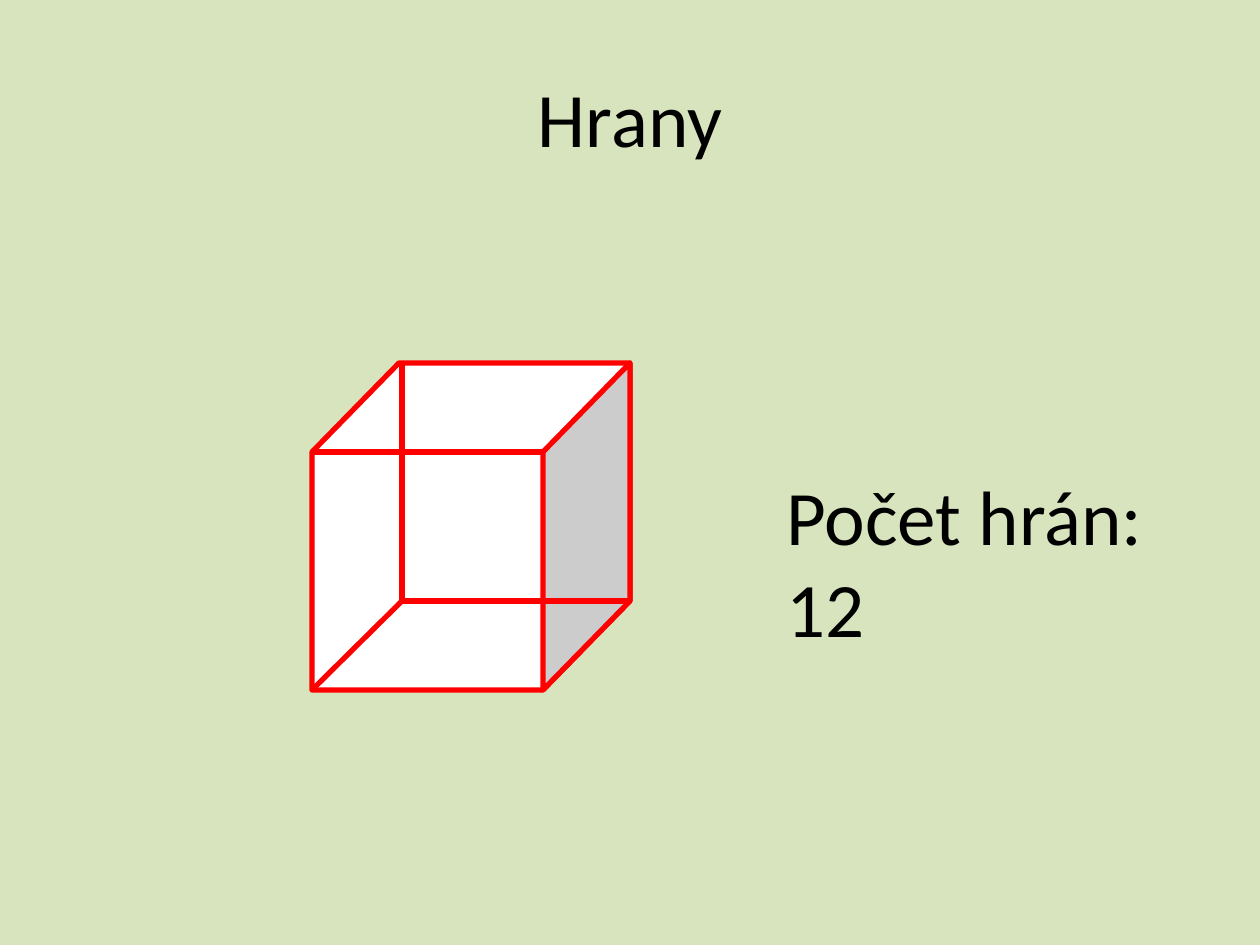
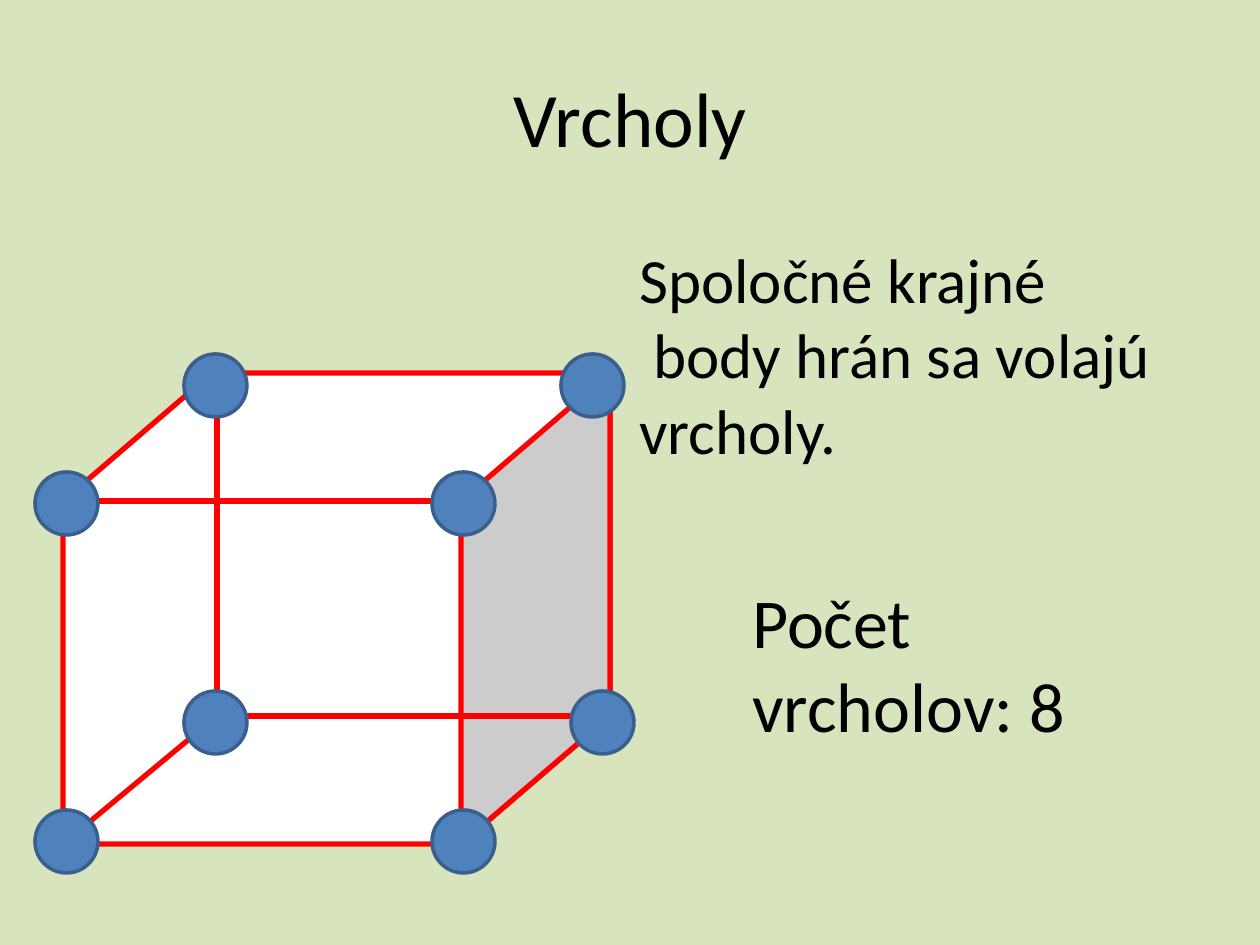
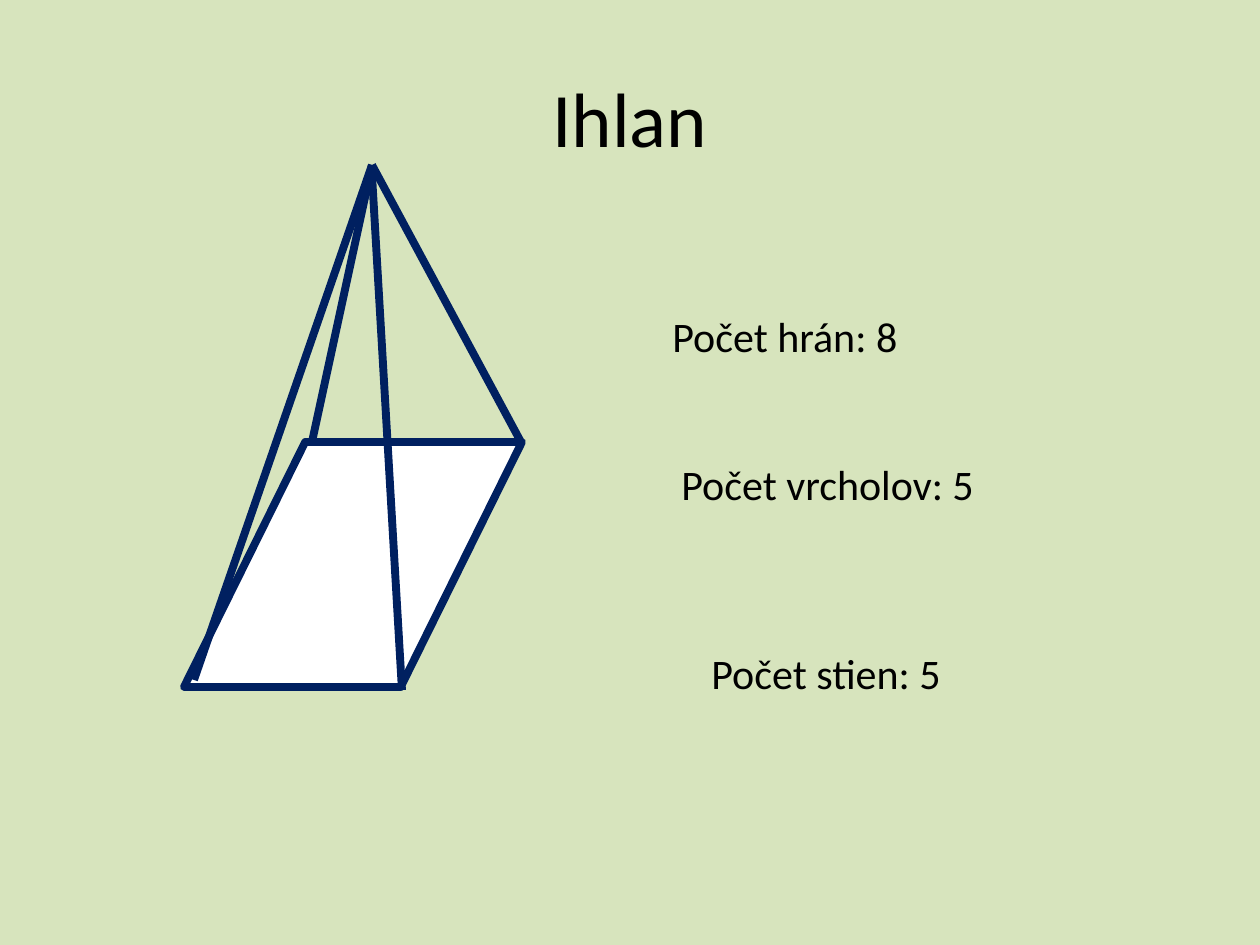
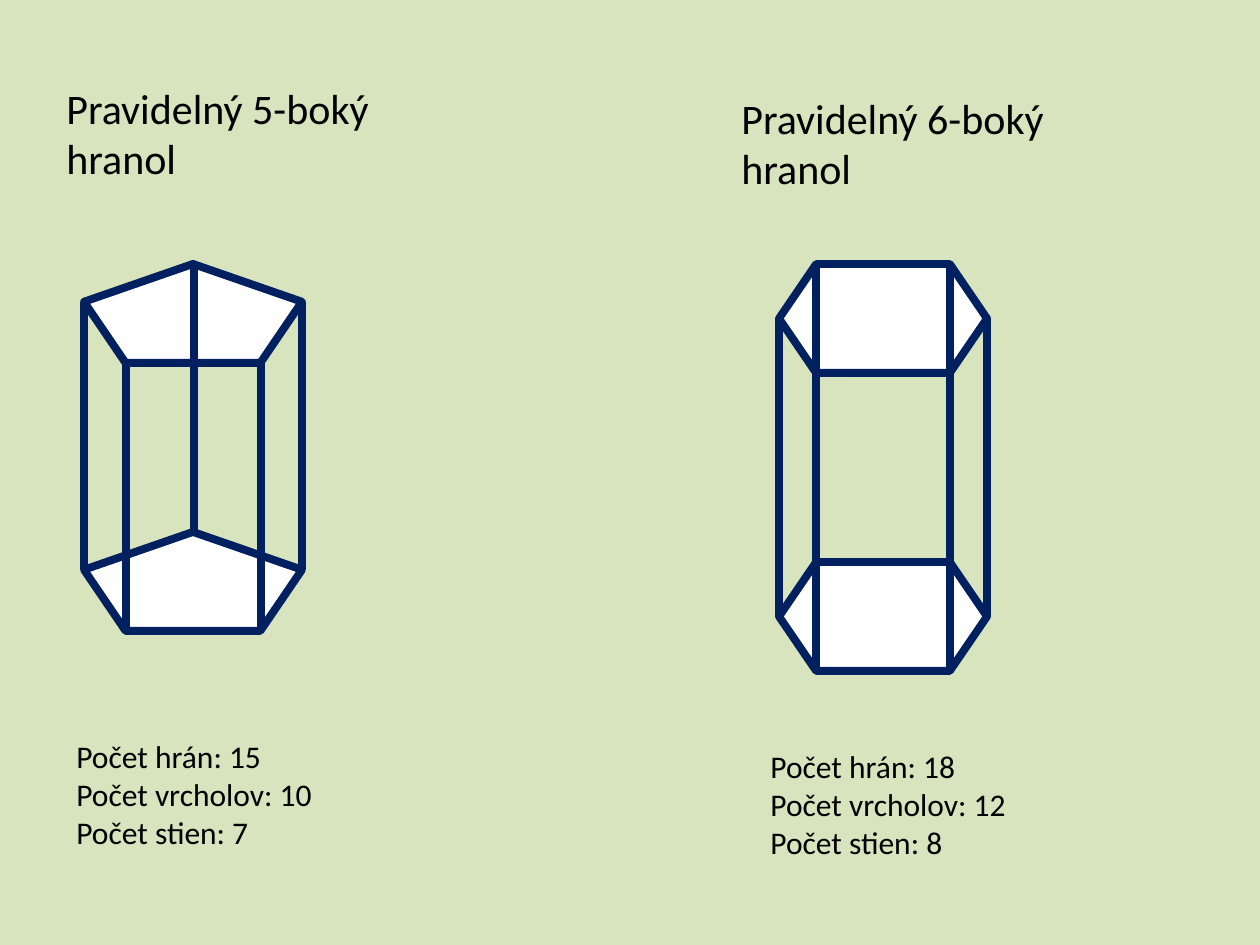
from pptx import Presentation
from pptx.dml.color import RGBColor
from pptx.enum.shapes import MSO_CONNECTOR as Conn, MSO_SHAPE as Kind
from pptx.enum.text import MSO_ANCHOR as Anchor, MSO_AUTO_SIZE as Fit, PP_ALIGN as Align
from pptx.oxml.ns import qn
from pptx.util import Pt
from lxml.etree import SubElement

# Shared look
SCALE = 914400 / 126
FONT = "Calibri"
GREEN, WHITE, GREY, BLACK = "D7E4BD", "FFFFFF", "CCCCCC", "000000"
RED, NAVY, BLUE, RIM = "FF0000", "002060", "4F81BD", "3A5F8C"


def emu(px):
    return round(px * SCALE)


def color(code):
    return RGBColor.from_string(code)


def paint(shape, fill, line, width):
    shape.shadow.inherit = False
    shape.fill.solid()
    shape.fill.fore_color.rgb = color(fill)
    shape.line.color.rgb = color(line)
    shape.line.width = Pt(width)


def solid(parent, kind, box, fill, line, width, adj=None):
    shape = parent.shapes.add_shape(kind, *map(emu, box))
    paint(shape, fill, line, width)
    if adj is not None:
        shape.adjustments[0] = adj


def edge(parent, start, end, line, width):
    conn = parent.shapes.add_connector(Conn.STRAIGHT, *map(emu, start + end))
    conn.line.color.rgb = color(line)
    conn.line.width = Pt(width)
    SubElement(conn._element.spPr, qn("a:effectLst"))


def face(parent, points, fill, line, width, seam=None):
    """Closed outline, with an optional open seam inside it."""
    pen = parent.shapes.build_freeform(*points[0], scale=SCALE)
    pen.add_line_segments(points[1:])
    if seam:
        pen.move_to(*seam[0])
        pen.add_line_segments(seam[1:], close=False)
    paint(pen.convert_to_shape(), fill, line, width)


def text(slide, box, lines, size, wrap=True):
    shape = slide.shapes.add_textbox(*map(emu, box))
    frame = shape.text_frame
    frame.word_wrap = wrap
    frame.auto_size = Fit.SHAPE_TO_FIT_TEXT
    frame.text = lines
    for para in frame.paragraphs:
        para.font.name = FONT
        para.font.size = Pt(size)
        para.font.color.rgb = color(BLACK)
    return frame


def title(slide, words):
    frame = text(slide, (63, 38, 1134, 157), words, 44)
    frame.auto_size = Fit.NONE
    frame.vertical_anchor = Anchor.MIDDLE
    frame.paragraphs[0].alignment = Align.CENTER


def cube(slide, x, y, w, h, dx, dy, inset):
    """Front face at x, y; the back is moved by dx, dy."""
    group = slide.shapes.add_group_shape()
    right, low = x + w, y + h
    far, top, base = right + dx, y - dy, low - dy
    pen = RED, 3
    rim = [(x, y), (x + dx, top), (far, top), (far, base), (right, low), (x, low)]
    face(group, rim, WHITE, *pen, seam=[(x, y), (right, y)])
    face(group, [(right, y), (far, top), (far, base), (right, low)], GREY, *pen)
    # Hidden edges
    back = (x + inset, base)
    for end in ((x, low), (far, base), (x + inset, top)):
        edge(group, back, end, *pen)


def prism(slide, kind, box, rise, corners, adj=None):
    """Two equal bases, joined by an upright edge at each corner."""
    group = slide.shapes.add_group_shape()
    x, y, w, h = box
    for top in (y + rise, y):
        solid(group, kind, (x, top, w, h), WHITE, NAVY, 4.5, adj)
    for cx, cy in corners:
        edge(group, (cx, cy), (cx, cy + rise), NAVY, 4.5)


def edges(slide):
    title(slide, "Hrany")
    cube(slide, 312, 452, 231, 238, 87, 89, 90)
    text(slide, (774, 462, 486, 199), "Počet hrán:\v12", 44)


def corners(slide):
    title(slide, "Vrcholy")
    cube(slide, 63, 501, 398, 343, 149, 128, 154)
    text(slide, (627, 234, 541, 242),
         "Spoločné krajné\n body hrán sa volajú\nvrcholy.", 36, wrap=False)
    dots = [(35, 472), (561, 354), (571, 691), (184, 354),
            (432, 810), (184, 691), (35, 810), (432, 472)]
    for x, y in dots:
        solid(slide, Kind.FLOWCHART_CONNECTOR, (x, y, 63, 63), BLUE, RIM, 2)
    text(slide, (740, 572, 427, 183), "Počet vrcholov: 8", 40)


def pyramid(slide):
    title(slide, "Ihlan")
    group = slide.shapes.add_group_shape()
    solid(group, Kind.PARALLELOGRAM, (184, 442, 338, 245), WHITE, NAVY, 4.5, 0.495)
    tip = (372, 165)
    for foot in ((312, 442), (521, 442), (194, 680)):
        edge(group, foot, tip, NAVY, 4.5)
    edge(group, (402, 690), (372, 175), NAVY, 4.5)
    text(slide, (660, 304, 476, 63), "Počet hrán: 8", 24)
    text(slide, (669, 452, 496, 63), "Počet vrcholov: 5", 24)
    text(slide, (699, 641, 446, 63), "Počet stien: 5", 24)


def prisms(slide):
    prism(slide, Kind.REGULAR_PENTAGON, (84, 264, 218, 99), 268,
          [(302, 302), (194, 264), (261, 363), (84, 302), (126, 363)])
    prism(slide, Kind.HEXAGON, (779, 264, 208, 109), 298,
          [(816, 264), (950, 264), (779, 319), (987, 319), (816, 373), (950, 373)],
          0.341)
    text(slide, (54, 76, 328, 115), "Pravidelný 5-boký hranol", 24)
    text(slide, (729, 86, 427, 115), "Pravidelný 6-boký hranol", 24)
    text(slide, (64, 731, 338, 127),
         "Počet hrán: 15\nPočet vrcholov: 10\nPočet stien: 7", 18)
    text(slide, (758, 741, 357, 127),
         "Počet hrán: 18\nPočet vrcholov: 12\nPočet stien: 8", 18)


def main():
    prs = Presentation()
    prs.slide_width, prs.slide_height = emu(1260), emu(945)
    back = prs.slide_master.background.fill
    back.solid()
    back.fore_color.rgb = color(GREEN)
    for draw in (edges, corners, pyramid, prisms):
        draw(prs.slides.add_slide(prs.slide_layouts[6]))
    prs.save("out.pptx")


if __name__ == "__main__":
    main()
